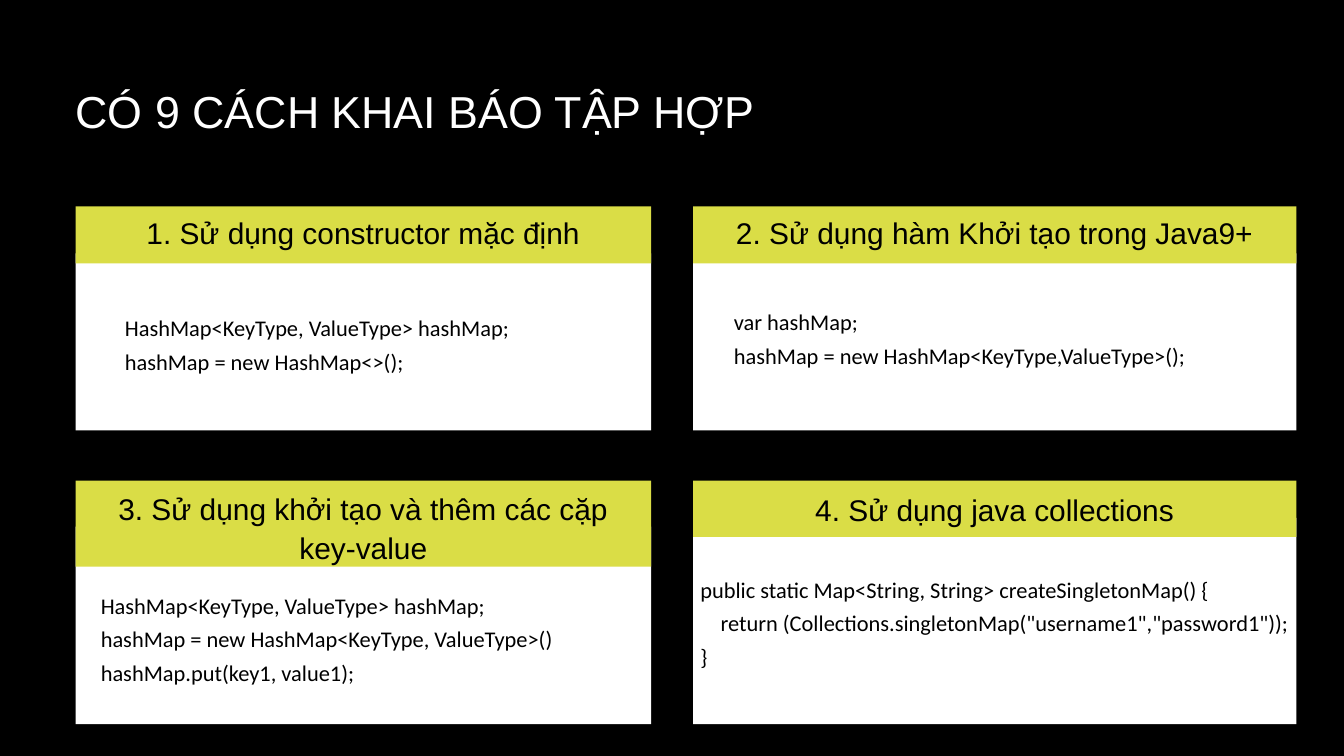
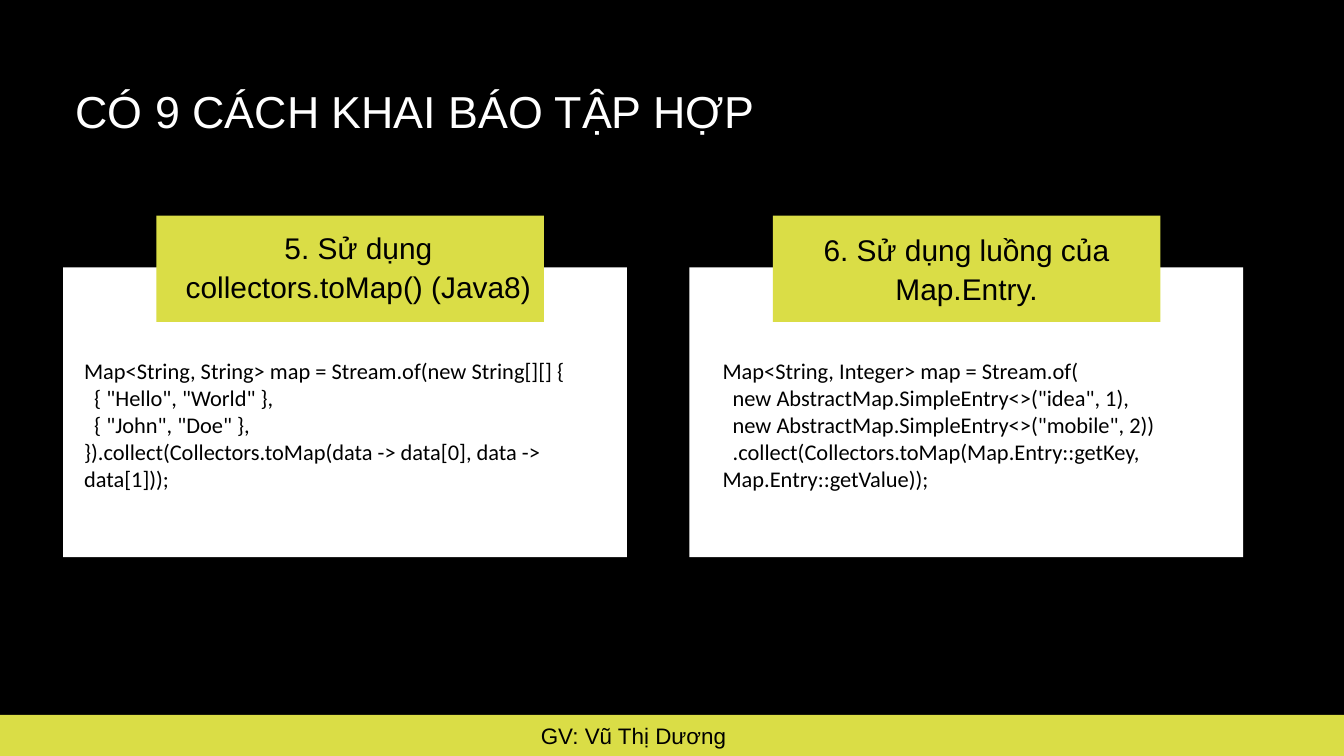
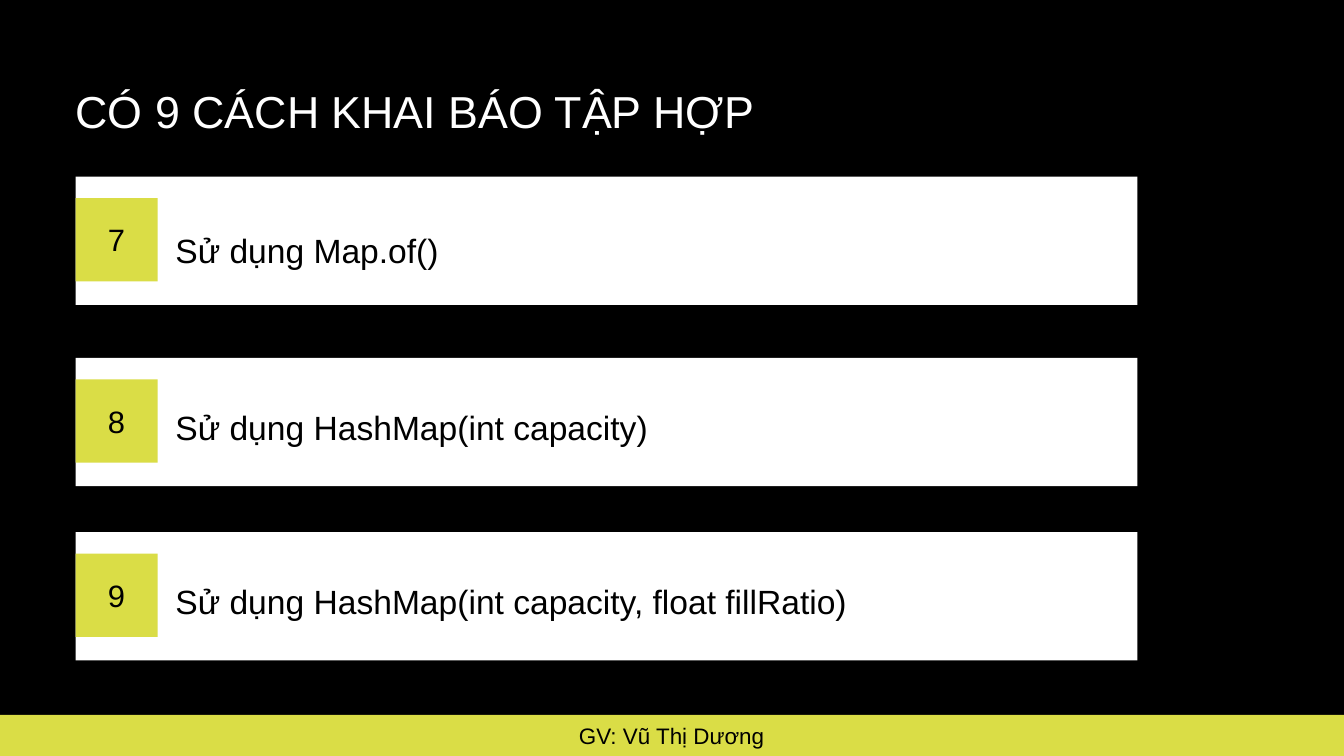
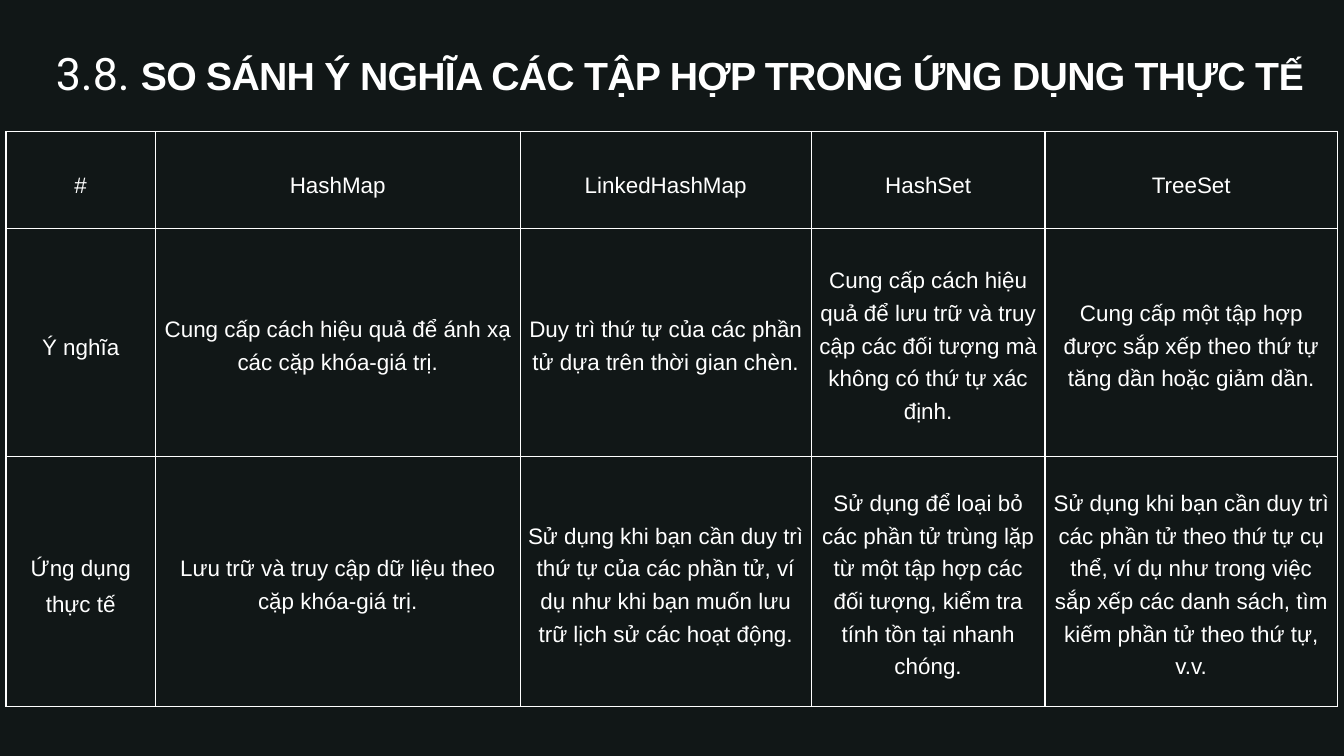
"""Build four slides on ways to declare and compare Java collections."""
from dataclasses import dataclass
from typing import NamedTuple, Optional

from lxml.etree import SubElement
from pptx import Presentation
from pptx.dml.color import RGBColor
from pptx.enum.shapes import MSO_SHAPE
from pptx.enum.text import MSO_ANCHOR, PP_ALIGN
from pptx.oxml.ns import qn
from pptx.slide import Slide
from pptx.table import _Cell
from pptx.text.text import Font, _Paragraph
from pptx.util import Cm, Pt

HUES = {"black": "000000", "white": "FFFFFF", "lime": "DADD46", "night": "111717"}
TITLE = "CÓ 9 CÁCH KHAI BÁO TẬP HỢP"


class Box(NamedTuple):
    left: float
    top: float
    width: float
    height: float


@dataclass(frozen=True)
class Style:
    size: float
    lead: Optional[float]
    hue: str = "black"
    align: PP_ALIGN = PP_ALIGN.LEFT
    face: str = "Arial"


@dataclass(frozen=True)
class Card:
    body: Box
    band: Box
    label: Box
    head: str
    inset: Box
    code: str
    style: Style


HEAD = Style(48, 73, "white")
LABEL = Style(32, 42, align=PP_ALIGN.CENTER)
CODE = Style(24, 36, face="Calibri")
TIGHT = Style(24, None, face="Calibri")
FOOT = Style(24, 36, align=PP_ALIGN.CENTER)
ITEM = Style(36, 59)
DIGIT = Style(33.1, 39.7, align=PP_ALIGN.CENTER)
KEY = Style(24, 37.8, "white", PP_ALIGN.CENTER)
CELL = Style(24, 35, "white", PP_ALIGN.CENTER)

BASICS = [
    Card(Box(2.86, 9.58, 21.75, 6.69), Box(2.86, 7.8, 21.75, 2.16),
         Box(2.86, 7.98, 21.75, 1.37), "1. Sử dụng constructor mặc định",
         Box(4.72, 11.63, 18.34, 2.57),
         "HashMap<KeyType, ValueType> hashMap;\nhashMap = new HashMap<>();", CODE),
    Card(Box(26.2, 9.58, 22.8, 6.69), Box(26.2, 7.8, 22.8, 2.16),
         Box(26.2, 7.98, 22.8, 1.37), "2. Sử dụng hàm Khởi tạo trong Java9+",
         Box(27.74, 11.4, 21.26, 3.84),
         "var hashMap;\nhashMap = new HashMap<KeyType,ValueType>();", CODE),
    Card(Box(2.86, 19.91, 21.75, 7.47), Box(2.86, 18.17, 21.75, 3.25),
         Box(2.86, 18.42, 21.75, 3), "3. Sử dụng khởi tạo và thêm các cặp\nkey-value",
         Box(3.81, 22.12, 20.04, 5.08),
         "HashMap<KeyType, ValueType> hashMap;\n"
         "hashMap = new HashMap<KeyType, ValueType>()\n"
         "hashMap.put(key1, value1);", CODE),
    Card(Box(26.2, 19.58, 22.8, 7.8), Box(26.2, 18.17, 22.8, 2.13),
         Box(26.2, 18.47, 22.8, 1.37), "4. Sử dụng java collections",
         Box(26.47, 21.51, 22.53, 5.03),
         "public static Map<String, String> createSingletonMap() {\n"
         "    return (Collections.singletonMap(\"username1\",\"password1\"));\n"
         "}", CODE),
]

STREAMS = [
    Card(Box(2.39, 10.11, 21.31, 10.95), Box(5.91, 8.15, 14.65, 4.02),
         Box(6.78, 8.56, 13.54, 3), "5. Sử dụng collectors.toMap() (Java8)",
         Box(3.18, 13.51, 19.51, 7.19),
         "Map<String, String> map = Stream.of(new String[][] {\n"
         "  { \"Hello\", \"World\" },\n"
         "  { \"John\", \"Doe\" },\n"
         "}).collect(Collectors.toMap(data -> data[0], data -> data[1]));", TIGHT),
    Card(Box(26.06, 10.11, 20.93, 10.95), Box(29.21, 8.15, 14.65, 4.02),
         Box(30.58, 8.64, 11.91, 3), "6. Sử dụng luồng của Map.Entry.",
         Box(27.31, 13.51, 19.99, 7.19),
         "Map<String, Integer> map = Stream.of(\n"
         "  new AbstractMap.SimpleEntry<>(\"idea\", 1),\n"
         "  new AbstractMap.SimpleEntry<>(\"mobile\", 2))\n"
         "  .collect(Collectors.toMap(Map.Entry::getKey, Map.Entry::getValue));", TIGHT),
]

ITEMS = [
    ("7", 6.68, 1.45, "Sử dụng Map.of()"),
    ("8", 13.53, 1.3, "Sử dụng HashMap(int capacity)"),
    ("9", 20.12, 1.3, "Sử dụng HashMap(int capacity, float fillRatio)"),
]

WIDTHS = [5.64, 13.79, 11, 8.84, 11.05]
HEIGHTS = [3.66, 8.61, 9.47]
ROWS = [
    ["#", "HashMap", "LinkedHashMap", "HashSet", "TreeSet"],
    ["Ý nghĩa",
     "Cung cấp cách hiệu quả để ánh xạ các cặp khóa-giá trị.",
     "Duy trì thứ tự của các phần tử dựa trên thời gian chèn.",
     "Cung cấp cách hiệu quả để lưu trữ và truy cập các đối tượng mà không có thứ tự "
     "xác định.",
     "Cung cấp một tập hợp được sắp xếp theo thứ tự tăng dần hoặc giảm dần."],
    ["Ứng dụng thực tế",
     "Lưu trữ và truy cập dữ liệu theo cặp khóa-giá trị.",
     "Sử dụng khi bạn cần duy trì thứ tự của các phần tử, ví dụ như khi bạn muốn lưu "
     "trữ lịch sử các hoạt động.",
     "Sử dụng để loại bỏ các phần tử trùng lặp từ một tập hợp các đối tượng, kiểm tra "
     "tính tồn tại nhanh chóng.",
     "Sử dụng khi bạn cần duy trì các phần tử theo thứ tự cụ thể, ví dụ như trong việc "
     "sắp xếp các danh sách, tìm kiếm phần tử theo thứ tự, v.v."],
]


def tint(name: str) -> RGBColor:
    return RGBColor.from_string(HUES[name])


def place(box: Box) -> list[Cm]:
    return [Cm(side) for side in box]


def set_font(font: Font, size: float, hue: str, face: str) -> None:
    font.size, font.name = Pt(size), face
    font.color.rgb = tint(hue)


def set_para(para: _Paragraph, style: Style) -> None:
    para.alignment = style.align
    if style.lead:
        para.line_spacing = Pt(style.lead)
    set_font(para.font, style.size, style.hue, style.face)


def add_text(slide: Slide, box: Box, text: str, style: Style) -> None:
    frame = slide.shapes.add_textbox(*place(box)).text_frame
    frame.word_wrap = True
    frame.margin_left = frame.margin_right = frame.margin_top = frame.margin_bottom = 0
    frame.text = text
    for para in frame.paragraphs:
        set_para(para, style)


def add_rect(slide: Slide, box: Box, hue: str) -> None:
    rect = slide.shapes.add_shape(MSO_SHAPE.RECTANGLE, *place(box))
    rect.shadow.inherit = False
    rect.fill.solid()
    rect.fill.fore_color.rgb = tint(hue)
    rect.line.fill.background()


def add_card(slide: Slide, card: Card) -> None:
    add_rect(slide, card.body, "white")
    add_rect(slide, card.band, "lime")
    add_text(slide, card.label, card.head, LABEL)
    add_text(slide, card.inset, card.code, card.style)


def add_item(slide: Slide, digit: str, top: float, drop: float, text: str) -> None:
    add_rect(slide, Box(2.86, top, 40.13, 4.85), "white")
    add_rect(slide, Box(2.86, top + 0.81, 3.1, 3.15), "lime")
    add_text(slide, Box(6.63, top + drop, 35.05, 1.88), text, ITEM)
    add_text(slide, Box(3.58, top + 1.68, 1.65, 1.35), digit, DIGIT)


def add_foot(slide: Slide, left: float) -> None:
    add_rect(slide, Box(0, 27.03, 50.8, 1.55), "lime")
    add_text(slide, Box(left, 27.05, 14.15, 1.17), "GV: Vũ Thị Dương", FOOT)


def set_cell(cell: _Cell, text: str, style: Style) -> None:
    props = cell._tc.get_or_add_tcPr()
    for side in ("a:lnL", "a:lnR", "a:lnT", "a:lnB"):
        line = SubElement(props, qn(side), w=str(Pt(1.5)))
        fill = SubElement(line, qn("a:solidFill"))
        SubElement(fill, qn("a:srgbClr"), val=HUES["white"])
    cell.fill.background()
    cell.vertical_anchor = MSO_ANCHOR.MIDDLE
    cell.margin_left = cell.margin_right = cell.margin_top = cell.margin_bottom = Cm(0.2)
    cell.text = text
    set_para(cell.text_frame.paragraphs[0], style)


def add_grid(slide: Slide) -> None:
    box = Box(0.23, 4.98, sum(WIDTHS), sum(HEIGHTS))
    grid = slide.shapes.add_table(len(ROWS), len(WIDTHS), *place(box)).table
    grid.first_row = grid.horz_banding = False
    for col, width in zip(grid.columns, WIDTHS):
        col.width = Cm(width)
    for y, (row, height) in enumerate(zip(ROWS, HEIGHTS)):
        grid.rows[y].height = Cm(height)
        for x, text in enumerate(row):
            set_cell(grid.cell(y, x), text, CELL if x and y else KEY)


def add_topic(slide: Slide) -> None:
    frame = slide.shapes.add_textbox(*place(Box(2.11, 2.69, 48.5, 2.34))).text_frame
    frame.word_wrap = True
    frame.margin_left = frame.margin_right = frame.margin_top = frame.margin_bottom = 0
    para = frame.paragraphs[0]
    para.alignment, para.line_spacing = PP_ALIGN.JUSTIFY, Pt(30.8)
    parts = [("3.8. ", 48, "Roboto"),
             ("SO SÁNH Ý NGHĨA CÁC TẬP HỢP TRONG ỨNG DỤNG THỰC T", 42, "Arial"),
             ("Ế", 40, "Arial")]
    for text, size, face in parts:
        run = para.add_run()
        run.text = text
        set_font(run.font, size, "white", face)
        if face == "Arial":
            run.font.bold = True
            run._r.get_or_add_rPr().set("spc", "-80")


def main() -> None:
    deck = Presentation()
    deck.slide_width, deck.slide_height = Cm(50.8), Cm(28.58)

    def add_slide(hue: str = "black", title: str = TITLE) -> Slide:
        slide = deck.slides.add_slide(deck.slide_layouts[6])
        slide.background.fill.solid()
        slide.background.fill.fore_color.rgb = tint(hue)
        if title:
            add_text(slide, Box(2.86, 2.62, 45.09, 2.34), title, HEAD)
        return slide

    slide = add_slide()
    for card in BASICS:
        add_card(slide, card)

    slide = add_slide()
    for card in STREAMS:
        add_card(slide, card)
    add_foot(slide, 16.87)

    slide = add_slide()
    for item in ITEMS:
        add_item(slide, *item)
    add_foot(slide, 18.31)

    slide = add_slide("night", "")
    add_grid(slide)
    add_topic(slide)
    deck.save("out.pptx")


if __name__ == "__main__":
    main()
